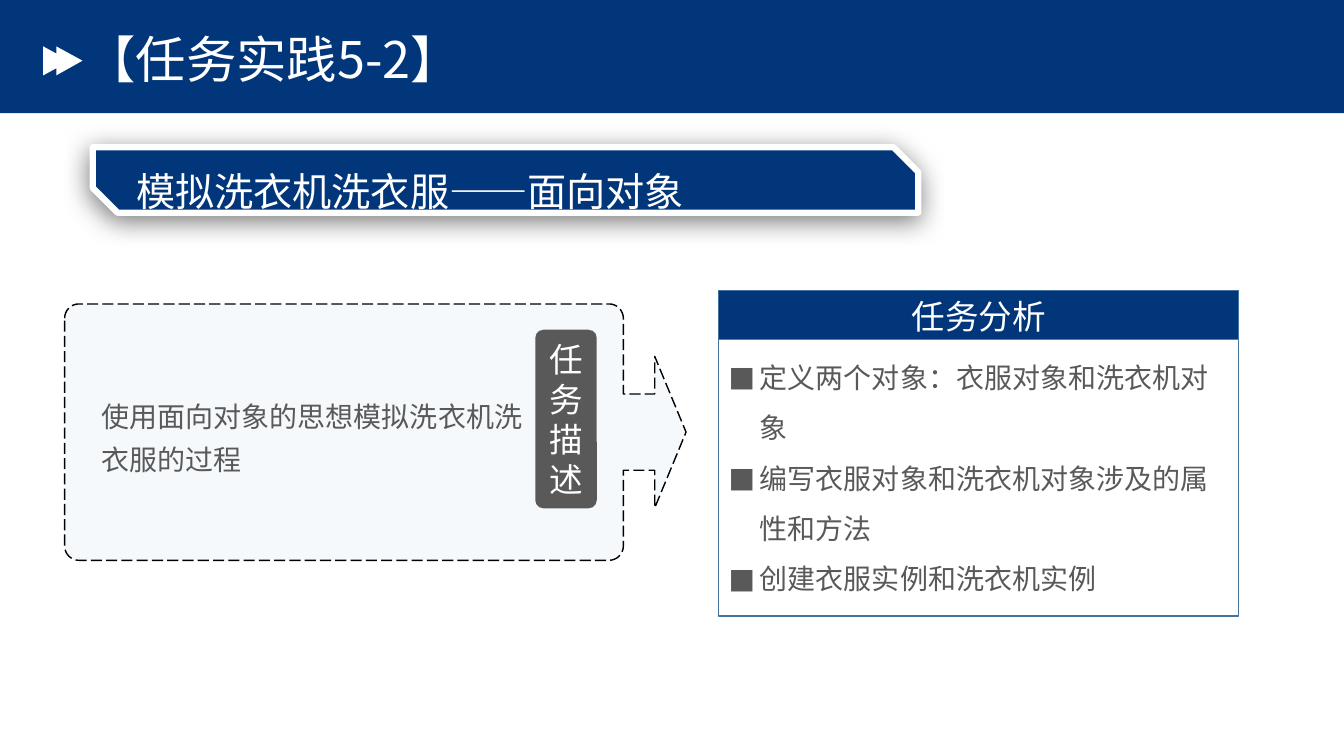
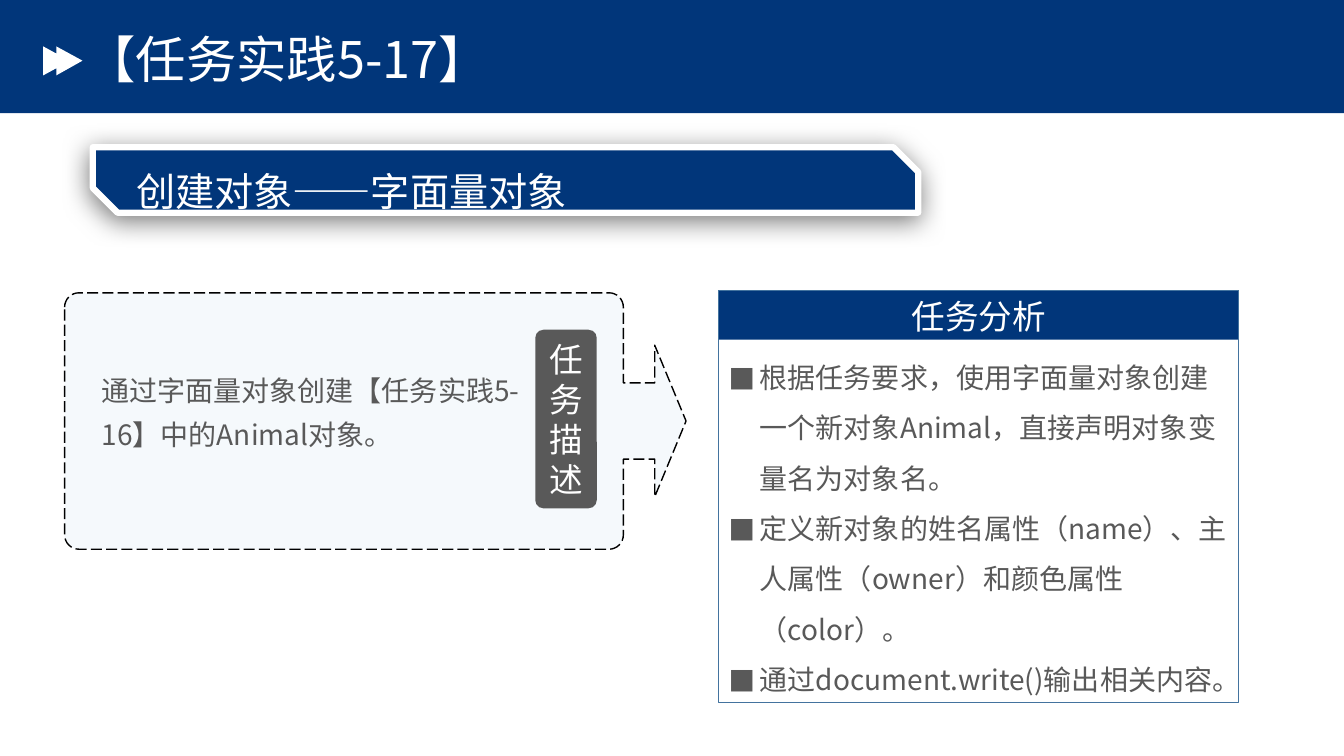
from dataclasses import dataclass
from math import cos, pi, sin

from lxml import etree
from pptx import Presentation
from pptx.dml.color import RGBColor
from pptx.enum.dml import MSO_LINE
from pptx.enum.shapes import MSO_SHAPE
from pptx.enum.text import MSO_ANCHOR, MSO_AUTO_SIZE, PP_ALIGN
from pptx.oxml.ns import qn
from pptx.util import Cm, Pt

RECTANGLE = MSO_SHAPE.RECTANGLE
ROUNDED_RECTANGLE = MSO_SHAPE.ROUNDED_RECTANGLE
SNIPPED_RECTANGLE = MSO_SHAPE.SNIP_2_DIAG_RECTANGLE
LONG_DASH = MSO_LINE.LONG_DASH
TOP, MIDDLE = MSO_ANCHOR.TOP, MSO_ANCHOR.MIDDLE
FIT_SHAPE = MSO_AUTO_SIZE.SHAPE_TO_FIT_TEXT
NO_FIT = MSO_AUTO_SIZE.NONE
LEFT, CENTER = PP_ALIGN.LEFT, PP_ALIGN.CENTER

NAVY, WHITE, BLACK = "01367A", "FFFFFF", "000000"
GRAY, PALE_BLUE, FRAME_BLUE = "595959", "BDD7EE", "43739E"
MAIN_FONT, LABEL_FONT = "Noto Sans CJK SC", "Calibri"
SLIDE_WIDTH, SLIDE_HEIGHT = 33.87, 19.05
BULLET_INDENT = 0.79


@dataclass(frozen=True)
class Box:
    """A rectangle in centimetres."""
    left: float
    top: float
    width: float
    height: float

    def lengths(self) -> tuple:
        return Cm(self.left), Cm(self.top), Cm(self.width), Cm(self.height)


@dataclass(frozen=True)
class TextStyle:
    size: int
    color: str
    font: str = MAIN_FONT
    spacing: float = 1.0
    align: PP_ALIGN = LEFT
    bulleted: bool = False


@dataclass(frozen=True)
class Task:
    title: str
    subtitle: str
    description: str
    analysis: tuple[str, ...]
    callout_top: float
    description_top: float
    frame_height: float
    analysis_height: float


TITLE_STYLE = TextStyle(36, WHITE, spacing=0.9)
SUBTITLE_STYLE = TextStyle(28, WHITE, spacing=1.3)
DESCRIPTION_STYLE = TextStyle(20, GRAY, spacing=1.3)
LABEL_STYLE = TextStyle(24, WHITE, LABEL_FONT, align=CENTER)
HEADER_STYLE = TextStyle(24, WHITE, align=CENTER)
ANALYSIS_STYLE = TextStyle(20, GRAY, spacing=1.5, bulleted=True)

TASKS = (
    Task(
        "【任务实践5-2】",
        "模拟洗衣机洗衣服——面向对象",
        "使用面向对象的思想模拟洗衣机洗衣服的过程",
        (
            "定义两个对象：衣服对象和洗衣机对象",
            "编写衣服对象和洗衣机对象涉及的属性和方法",
            "创建衣服实例和洗衣机实例",
        ),
        callout_top=7.66,
        description_top=9.68,
        frame_height=8.2,
        analysis_height=6.5,
    ),
    Task(
        "【任务实践5-17】",
        "创建对象——字面量对象",
        "通过字面量对象创建【任务实践5-16】中的Animal对象。",
        (
            "根据任务要求，使用字面量对象创建一个新对象Animal，直接声明对象变量名为对象名。",
            "定义新对象的姓名属性（name）、主人属性（owner）和颜色属性（color）。",
            "通过document.write()输出相关内容。",
        ),
        callout_top=7.38,
        description_top=9.04,
        frame_height=10.39,
        analysis_height=10.39,
    ),
)


def rgb(color: str) -> RGBColor:
    return RGBColor.from_string(color)


def paint(shape, fill: str | None, line: str | None = None, width: float = 1) -> None:
    """Set fill and outline, where None means none, and drop the shadow."""
    shape.shadow.inherit = False
    if fill:
        shape.fill.solid()
        shape.fill.fore_color.rgb = rgb(fill)
    else:
        shape.fill.background()
    if line:
        shape.line.color.rgb = rgb(line)
        shape.line.width = Pt(width)
    else:
        shape.line.fill.background()


def add_box(slide, kind, box: Box, fill: str | None, line: str | None = None,
            width: float = 1):
    shape = slide.shapes.add_shape(kind, *box.lengths())
    paint(shape, fill, line, width)
    return shape


def add_outline(slide, points: list[tuple[float, float]]):
    corners = [(Cm(x), Cm(y)) for x, y in points]
    builder = slide.shapes.build_freeform(*corners[0], scale=1.0)
    builder.add_line_segments(corners[1:], close=True)
    return builder.convert_to_shape()


def set_alpha(shape, percent: int) -> None:
    color = shape.fill._xPr.find(qn("a:solidFill"))[0]
    etree.SubElement(color, qn("a:alpha"), val=str(percent * 1000))


def add_soft_shadow(shape) -> None:
    effects = shape._element.spPr.find(qn("a:effectLst"))
    shadow = etree.SubElement(
        effects, qn("a:outerShdw"), blurRad=str(Pt(19)), dist=str(Pt(4)),
        dir=str(112 * 60000), algn="ctr", rotWithShape="0")
    color = etree.SubElement(shadow, qn("a:srgbClr"), val=BLACK)
    etree.SubElement(color, qn("a:alpha"), val="51000")


def add_bullet(paragraph) -> None:
    properties = paragraph._p.get_or_add_pPr()
    properties.set("marL", str(Cm(BULLET_INDENT)))
    properties.set("indent", str(-Cm(BULLET_INDENT)))
    etree.SubElement(properties, qn("a:buFont"), typeface=LABEL_FONT)
    etree.SubElement(properties, qn("a:buChar"), char="■")


def write_text(shape, texts: tuple[str, ...], style: TextStyle, anchor=TOP,
               fit=NO_FIT) -> None:
    frame = shape.text_frame
    frame.word_wrap = True
    frame.auto_size = fit
    frame.vertical_anchor = anchor
    for index, text in enumerate(texts):
        paragraph = frame.add_paragraph() if index else frame.paragraphs[0]
        paragraph.alignment = style.align
        paragraph.line_spacing = style.spacing
        if style.bulleted:
            add_bullet(paragraph)
        run = paragraph.add_run()
        run.text = text
        run.font.size = Pt(style.size)
        run.font.name = style.font
        run.font.color.rgb = rgb(style.color)
        etree.SubElement(run.font._element, qn("a:ea"), typeface=style.font)


def add_text(slide, box: Box, texts: tuple[str, ...], style: TextStyle,
             anchor=TOP, fit=NO_FIT) -> None:
    write_text(slide.shapes.add_textbox(*box.lengths()), texts, style, anchor, fit)


def add_heading(slide, title: str, subtitle: str) -> None:
    add_box(slide, RECTANGLE, Box(0, 0, SLIDE_WIDTH, 2.85), NAVY)
    marker = add_outline(slide, [
        (1.09, 1.17), (1.42, 1.35), (1.42, 1.17), (2.08, 1.53),
        (1.42, 1.9), (1.42, 1.72), (1.09, 1.9)])
    paint(marker, WHITE)
    banner = add_box(slide, SNIPPED_RECTANGLE, Box(2.34, 3.71, 20.8, 1.65),
                     NAVY, WHITE, 4.5)
    banner.adjustments[0] = 0
    banner.adjustments[1] = 0.378
    add_soft_shadow(banner)
    add_text(slide, Box(1.9, 0.86, 16.71, 1.42), (title,), TITLE_STYLE, MIDDLE)
    add_text(slide, Box(3.18, 3.73, 18.8, 1.78), (subtitle,), SUBTITLE_STYLE)


def rounded_corner(x: float, y: float, radius: float,
                   start: float) -> list[tuple[float, float]]:
    """Points of a clockwise quarter circle around (x, y)."""
    steps = 8
    angles = [start + pi / 2 * step / steps for step in range(steps + 1)]
    return [(x + radius * cos(angle), y + radius * sin(angle)) for angle in angles]


def callout_points(body: Box) -> list[tuple[float, float]]:
    """Outline of a rounded box with an arrow on its right side."""
    radius, shaft, head = 0.36, 0.79, 0.79
    shaft_half, head_half = 0.96, 1.91
    right, bottom = body.left + body.width, body.top + body.height
    middle = body.top + body.height / 2
    neck = right + shaft
    near_x, far_x = body.left + radius, right - radius
    near_y, far_y = body.top + radius, bottom - radius
    arrow = [
        (right, middle - shaft_half), (neck, middle - shaft_half),
        (neck, middle - head_half), (neck + head, middle),
        (neck, middle + head_half), (neck, middle + shaft_half),
        (right, middle + shaft_half)]
    return (rounded_corner(near_x, near_y, radius, pi)
            + rounded_corner(far_x, near_y, radius, -pi / 2)
            + arrow
            + rounded_corner(far_x, far_y, radius, 0)
            + rounded_corner(near_x, far_y, radius, pi / 2))


def add_description(slide, task: Task) -> None:
    body = Box(1.63, task.callout_top, 14.08, 6.46)
    callout = add_outline(slide, callout_points(body))
    paint(callout, PALE_BLUE, BLACK)
    set_alpha(callout, 15)
    callout.line.dash_style = LONG_DASH
    add_text(slide, Box(2.31, task.description_top, 11.18, 2.36),
             (task.description,), DESCRIPTION_STYLE, fit=FIT_SHAPE)
    label = add_box(slide, ROUNDED_RECTANGLE, Box(13.49, 8.31, 1.55, 4.5), GRAY)
    label.adjustments[0] = 0.133
    write_text(label, ("任务描述",), LABEL_STYLE, MIDDLE)


def add_analysis(slide, task: Task) -> None:
    left, top, width = 18.11, 7.32, 13.11
    add_box(slide, RECTANGLE, Box(left, top, width, 1.24), NAVY)
    add_text(slide, Box(left, 7.34, width, 1.12), ("任务分析",), HEADER_STYLE,
             fit=FIT_SHAPE)
    add_text(slide, Box(left, 8.53, width, task.analysis_height), task.analysis,
             ANALYSIS_STYLE, fit=FIT_SHAPE)
    add_box(slide, RECTANGLE, Box(left, top, width, task.frame_height), None,
            FRAME_BLUE)


def main() -> None:
    presentation = Presentation()
    presentation.slide_width = Cm(SLIDE_WIDTH)
    presentation.slide_height = Cm(SLIDE_HEIGHT)
    blank_layout = presentation.slide_layouts[6]
    for task in TASKS:
        slide = presentation.slides.add_slide(blank_layout)
        add_heading(slide, task.title, task.subtitle)
        add_description(slide, task)
        add_analysis(slide, task)
    presentation.save("out.pptx")


if __name__ == "__main__":
    main()
